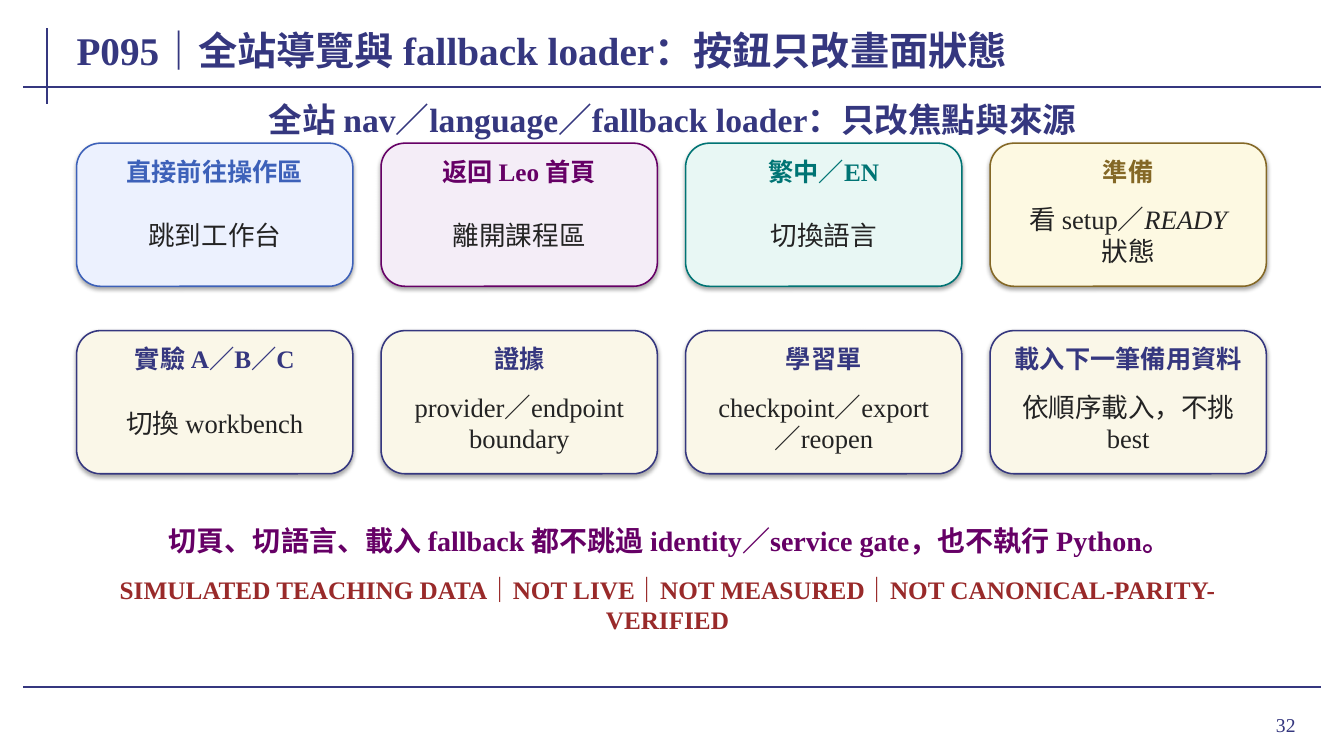
from lxml import etree
from pptx import Presentation, util as u
from pptx.dml.color import RGBColor
from pptx.enum import shapes, text
from pptx.oxml import ns

NAVY = RGBColor(0x35, 0x37, 0x7F)
BLUE = RGBColor(0x3D, 0x61, 0xB9)
PURPLE = RGBColor(0x66, 0x00, 0x66)
TEAL = RGBColor(0x00, 0x74, 0x74)
GOLD = RGBColor(0x84, 0x68, 0x26)
RED = RGBColor(0x99, 0x2A, 0x2A)
INK = RGBColor(0x23, 0x23, 0x23)
PALE_BLUE = RGBColor(0xEC, 0xF1, 0xFE)
PALE_PURPLE = RGBColor(0xF4, 0xED, 0xF7)
PALE_TEAL = RGBColor(0xE8, 0xF7, 0xF4)
PALE_GOLD = RGBColor(0xFD, 0xF9, 0xE2)
CREAM = RGBColor(0xFA, 0xF7, 0xE8)

FONT = "Times New Roman"
WIDTH, HEIGHT = 13.33, 7.5
CARD_W, CARD_H = 2.74, 1.42
COLUMN_STEP, ROW_STEP = 3.02, 1.86
COLUMNS = 4

CARDS = [
    ("直接前往操作區", "跳到工作台", BLUE, PALE_BLUE),
    ("返回 Leo 首頁", "離開課程區", PURPLE, PALE_PURPLE),
    ("繁中／EN", "切換語言", TEAL, PALE_TEAL),
    ("準備", "看 setup／*READY* 狀態", GOLD, PALE_GOLD),
    ("實驗 A／B／C", "切換 workbench", NAVY, CREAM),
    ("證據", "provider／endpoint boundary", NAVY, CREAM),
    ("學習單", "checkpoint／export／reopen", NAVY, CREAM),
    ("載入下一筆備用資料", "依順序載入，不挑 best", NAVY, CREAM),
]


def inches(*lengths):
    """Convert lengths in inches to slide units."""
    return [u.Inches(length) for length in lengths]


def write(frame, words, size, color, bold=True, align=text.PP_ALIGN.CENTER):
    """Fill a text frame with one paragraph; asterisks enclose italics."""
    frame.word_wrap = True
    frame.vertical_anchor = text.MSO_ANCHOR.MIDDLE
    frame.margin_left = frame.margin_right = u.Inches(0.08)
    frame.margin_top = frame.margin_bottom = u.Inches(0.04)
    paragraph = frame.paragraphs[0]
    paragraph.alignment = align
    for index, part in enumerate(words.split("*")):
        run = paragraph.add_run()
        run.text = part
        run.font.name, run.font.size = FONT, u.Pt(size)
        run.font.bold, run.font.italic = bold, index % 2 == 1
        run.font.color.rgb = color


def add_label(slide, box, words, size, color, **style):
    """Add a text box that grows with its words."""
    label = slide.shapes.add_textbox(*inches(*box))
    write(label.text_frame, words, size, color, **style)
    label.text_frame.auto_size = text.MSO_AUTO_SIZE.SHAPE_TO_FIT_TEXT


def add_rule(slide, *ends):
    """Draw one frame line between two points."""
    rule = slide.shapes.add_connector(shapes.MSO_CONNECTOR.STRAIGHT, *inches(*ends))
    rule.line.color.rgb, rule.line.width = NAVY, u.Pt(1.5)
    etree.SubElement(rule._element.spPr, ns.qn("a:effectLst"))


def add_shadow(card):
    """Give a card a soft shadow straight below it."""
    card.shadow.inherit = False
    effects = card._element.spPr.find(ns.qn("a:effectLst"))
    shadow = etree.SubElement(effects, ns.qn("a:outerShdw"), blurRad=str(u.Pt(3.1)),
                              dist=str(u.Pt(1.8)), dir="5400000", rotWithShape="0")
    black = etree.SubElement(shadow, ns.qn("a:srgbClr"), val="000000")
    etree.SubElement(black, ns.qn("a:alpha"), val="35000")


def add_card(slide, left, top, heading, body, accent, fill):
    """Place a rounded card with its heading and body."""
    card = slide.shapes.add_shape(shapes.MSO_SHAPE.ROUNDED_RECTANGLE,
                                  *inches(left, top, CARD_W, CARD_H))
    card.fill.solid()
    card.fill.fore_color.rgb = fill
    card.line.color.rgb, card.line.width = accent, u.Pt(1.1)
    add_shadow(card)
    add_label(slide, (left + 0.14, top + 0.12, CARD_W - 0.28, 0.32), heading, 18, accent)
    add_label(slide, (left + 0.16, top + 0.52, CARD_W - 0.32, 0.78), body, 19, INK, bold=False)


def add_card_grid(slide, left, top):
    """Lay the cards out row by row."""
    for index, card in enumerate(CARDS):
        row, column = divmod(index, COLUMNS)
        add_card(slide, left + column * COLUMN_STEP, top + row * ROW_STEP, *card)


def add_frame(slide, left, right, head, foot):
    """Draw the frame lines and the page number."""
    add_rule(slide, left + 0.24, head - 0.58, left + 0.24, head + 0.17)
    for level in (head, foot):
        add_rule(slide, left, level, right, level)
    number_box = (right - 1.14, foot + 0.11, 0.97, 0.52)
    add_label(slide, number_box, "32", 14, NAVY, bold=False, align=text.PP_ALIGN.RIGHT)


def add_title(slide, box, words):
    """Move the title placeholder into its box and fill it."""
    title = slide.shapes.title
    title.left, title.top, title.width, title.height = inches(*box)
    write(title.text_frame, words, 28, NAVY, align=text.PP_ALIGN.LEFT)
    title.text_frame.auto_size = text.MSO_AUTO_SIZE.NONE


def main():
    """Build the slide and save it."""
    deck = Presentation()
    deck.slide_width, deck.slide_height = inches(WIDTH, HEIGHT)
    slide = deck.slides.add_slide(deck.slide_layouts[5])
    add_frame(slide, 0.23, 13.1, 0.86, 6.82)
    add_title(slide, (0.68, 0.18, 11.95, 0.62), "P095｜全站導覽與 fallback loader：按鈕只改畫面狀態")
    add_label(slide, (0.86, 0.94, 11.62, 0.48),
              "全站 nav／language／fallback loader：只改焦點與來源", 24, NAVY)
    add_card_grid(slide, 0.76, 1.42)
    add_label(slide, (1, 5.1, 11.28, 0.52),
              "切頁、切語言、載入 fallback 都不跳過 identity／service gate，也不執行 Python。", 20, PURPLE)
    add_label(slide, (0.72, 5.86, 11.8, 0.27),
              "SIMULATED TEACHING DATA｜NOT LIVE｜NOT MEASURED｜NOT CANONICAL-PARITY-VERIFIED", 18, RED)
    deck.save("out.pptx")


if __name__ == "__main__":
    main()
